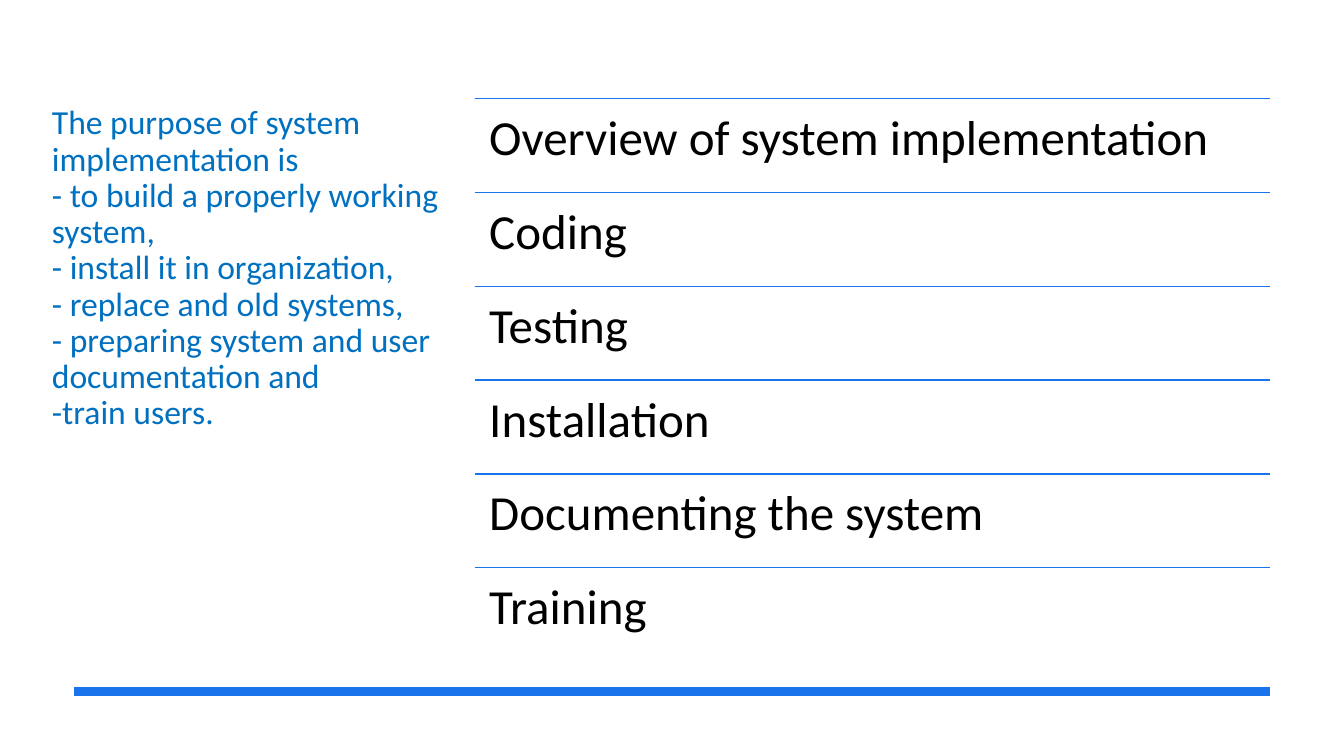
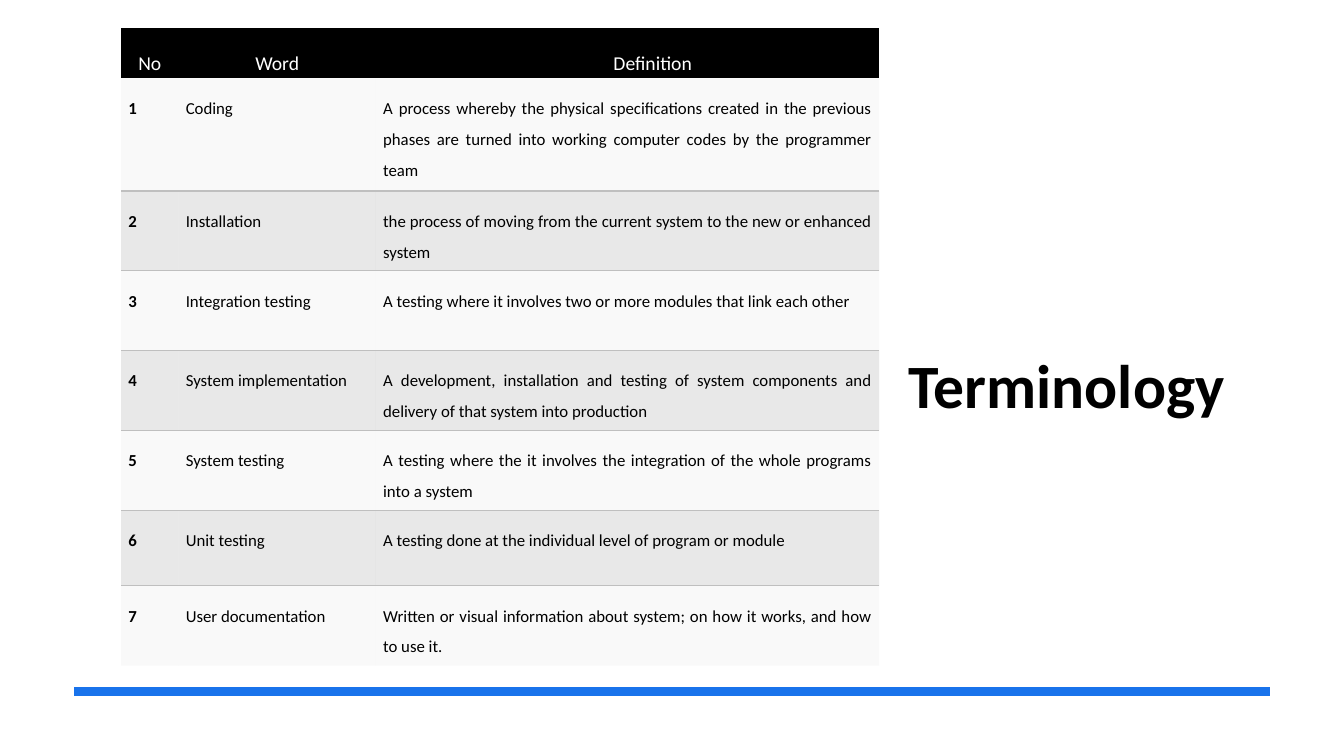
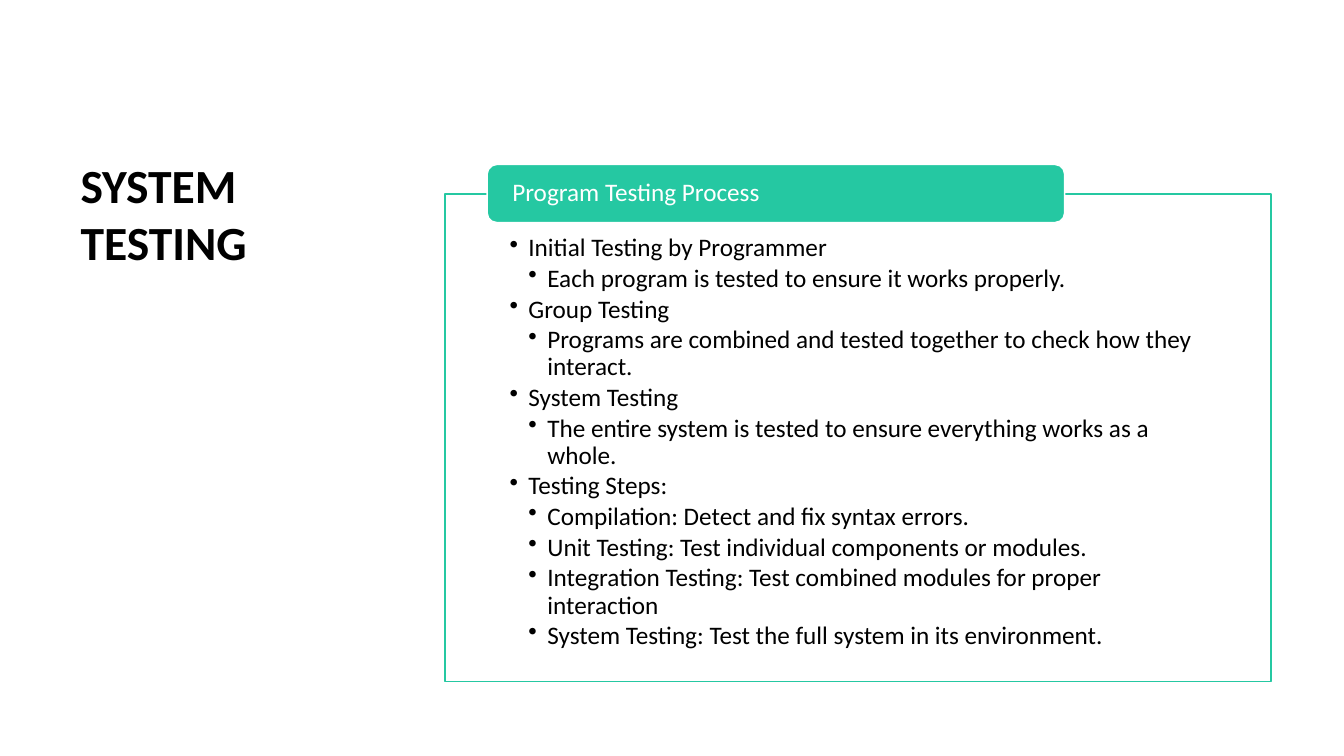
from dataclasses import dataclass, replace
from typing import NamedTuple

from lxml import etree
from pptx import Presentation
from pptx.dml.color import RGBColor
from pptx.enum import shapes, text
from pptx.oxml import ns
from pptx.util import Pt

FONT = "Calibri"
BLACK, WHITE = "000000", "FFFFFF"
BLUE, TITLE_BLUE, GREEN = "1973EB", "0070C0", "25C8A2"
GRAY, PALE = "BFBFBF", "F2F2F2"
NO_GRID_STYLE = "{2D5ABB26-0587-4C30-8999-92F81FD0307C}"
LEFT, CENTER, JUSTIFY = text.PP_ALIGN.LEFT, text.PP_ALIGN.CENTER, text.PP_ALIGN.JUSTIFY
TOP, MIDDLE, BOTTOM = text.MSO_ANCHOR.TOP, text.MSO_ANCHOR.MIDDLE, text.MSO_ANCHOR.BOTTOM


class Area(NamedTuple):
    left: float
    top: float
    width: float
    height: float


class Insets(NamedTuple):
    left: float = 7.2
    top: float = 3.6
    right: float = 7.2
    bottom: float = 3.6


@dataclass(frozen=True)
class Style:
    size: float
    color: str = BLACK
    bold: bool = False
    align: text.PP_ALIGN = LEFT
    line: float = 1.0
    after: float = 0


class Line(NamedTuple):
    words: str
    level: int = 0  # 0 means no bullet


class Term(NamedTuple):
    word: str
    definition: str
    height: float = 57


TITLE = Style(44, bold=True)
PURPOSE = Style(24, TITLE_BLUE, line=0.9)
TOPIC = Style(35, line=0.9)
STEP = Style(18, line=0.9, after=2.4)
TAB = Style(18, WHITE, line=0.9)
HEAD = Style(14, WHITE, align=CENTER, line=1.5, after=10)
BODY = Style(12, align=JUSTIFY, line=1.5, after=10)
CELL_INSETS = Insets(5.2, 7.2, 5.2, 0)

PURPOSES = [
    "The purpose of system implementation is",
    "- to build a properly working system,",
    "- install it in organization,",
    "- replace and old systems,",
    "- preparing system and user documentation and",
    "-train users.",
]
TOPICS = ["Overview of system implementation", "Coding", "Testing",
          "Installation", "Documenting the system", "Training"]
TERMS = [
    Term("Coding", "A process whereby the physical specifications created in the previous "
         "phases are turned into working computer codes by the programmer team", 80.5),
    Term("Installation",
         "the process of moving from the current system to the new or enhanced system"),
    Term("Integration testing",
         "A testing where it involves two or more modules that link each other"),
    Term("System implementation", "A development, installation and testing of system "
         "components and delivery of that system into production"),
    Term("System testing",
         "A testing where the it involves the integration of the whole programs into a system"),
    Term("Unit testing", "A testing done at the individual level of program or module", 54),
    Term("User documentation",
         "Written or visual information about system; on how it works, and how to use it."),
]
STEPS = [
    Line("Initial Testing by Programmer", 1),
    Line("Each program is tested to ensure it works properly.", 2),
    Line("Group Testing", 1),
    Line("Programs are combined and tested together to check how they interact.", 2),
    Line("System Testing", 1),
    Line("The entire system is tested to ensure everything works as a whole.", 2),
    Line("Testing Steps:", 1),
    Line("Compilation: Detect and fix syntax errors.", 2),
    Line("Unit Testing: Test individual components or modules.", 2),
    Line("Integration Testing: Test combined modules for proper interaction", 2),
    Line("System Testing: Test the full system in its environment.", 2),
]


def rgb(color: str) -> RGBColor:
    return RGBColor.from_string(color)


def points(values) -> list:
    return [Pt(value) for value in values]


def write(frame, lines: list[Line], style: Style) -> None:
    for index, line in enumerate(lines):
        para = frame.paragraphs[0] if index == 0 else frame.add_paragraph()
        para.alignment = style.align
        para.line_spacing = style.line
        para.space_after = Pt(style.after)
        if line.level:
            properties = para._p.get_or_add_pPr()
            properties.set("marL", str(Pt(13.5 * line.level)))
            properties.set("indent", str(-Pt(13.5)))
            etree.SubElement(properties, ns.qn("a:buChar")).set("char", "•")
        span = para.add_run()
        span.text = line.words
        span.font.name = FONT
        span.font.size = Pt(style.size)
        span.font.bold = style.bold
        span.font.color.rgb = rgb(style.color)


def set_insets(target, insets: Insets) -> None:
    (target.margin_left, target.margin_top,
     target.margin_right, target.margin_bottom) = points(insets)


def fill_frame(box, lines: list[Line], style: Style, insets: Insets, anchor) -> None:
    frame = box.text_frame
    frame.word_wrap = True
    frame.vertical_anchor = anchor
    set_insets(frame, insets)
    write(frame, lines, style)


def add_text(page, area: Area, lines: list[Line], style: Style,
             insets: Insets = Insets(), anchor=TOP) -> None:
    fill_frame(page.shapes.add_textbox(*points(area)), lines, style, insets, anchor)


def add_panel(page, kind, area: Area, fill: str, outline: str, lines: list[Line],
              style: Style, insets: Insets, anchor) -> None:
    panel = page.shapes.add_shape(kind, *points(area))
    panel.shadow.inherit = False
    panel.fill.solid()
    panel.fill.fore_color.rgb = rgb(fill)
    panel.line.color.rgb = rgb(outline)
    panel.line.width = Pt(1)
    fill_frame(panel, lines, style, insets, anchor)


def add_rule(page, left: float, right: float, top: float, width: float) -> None:
    rule = page.shapes.add_connector(shapes.MSO_CONNECTOR.STRAIGHT,
                                     *points((left, top, right, top)))
    rule.line.color.rgb = rgb(BLUE)
    rule.line.width = Pt(width)
    etree.SubElement(rule._element.spPr, ns.qn("a:effectLst"))


def add_footer_band(page) -> None:
    add_rule(page, 53, 907, 494, 6)


def fill_cell(cell, color: str, opacity: int = 100) -> None:
    cell.fill.solid()
    cell.fill.fore_color.rgb = rgb(color)
    if opacity < 100:
        tint = cell._tc.tcPr.find(".//" + ns.qn("a:srgbClr"))
        etree.SubElement(tint, ns.qn("a:alpha")).set("val", str(opacity * 1000))


def add_border(cell, side: str) -> None:
    """Draw a thin gray border; side is lnT or lnB."""
    border = etree.Element(ns.qn("a:" + side), w=str(Pt(1)))
    solid = etree.SubElement(border, ns.qn("a:solidFill"))
    etree.SubElement(solid, ns.qn("a:srgbClr")).set("val", GRAY)
    cell._tc.tcPr.insert(0, border)


def add_terms_table(page) -> None:
    widths = [41, 141, 359.5]
    heights = [36] + [term.height for term in TERMS]
    frame = page.shapes.add_table(len(heights), len(widths),
                                  *points((86.5, 20, sum(widths), sum(heights))))
    table = frame.table
    table.first_row = table.horz_banding = False
    table._tbl.tblPr.find(ns.qn("a:tableStyleId")).text = NO_GRID_STYLE
    for column, width in zip(table.columns, widths):
        column.width = Pt(width)
    for row, height in zip(table.rows, heights):
        row.height = Pt(height)

    rows = [("No", "Word", "Definition")]
    rows += [(str(number), term.word, term.definition)
             for number, term in enumerate(TERMS, 1)]
    for r, words in enumerate(rows):
        for c, word in enumerate(words):
            cell = table.cell(r, c)
            set_insets(cell, CELL_INSETS)
            if r == 0:
                cell.vertical_anchor = MIDDLE
                fill_cell(cell, BLACK)
                write(cell.text_frame, [Line(word)], HEAD)
                continue
            write(cell.text_frame, [Line(word)], replace(BODY, bold=c == 0))
            if r % 2:
                fill_cell(cell, PALE, 45)
                if r < len(TERMS):
                    add_border(cell, "lnB")
            else:
                fill_cell(cell, GRAY, 35)
                add_border(cell, "lnT")
    heading = table.cell(0, 2).text_frame.paragraphs[0]
    heading._p.get_or_add_pPr().set("indent", str(Pt(36)))


def build_purpose(page) -> None:
    add_text(page, Area(30, 72, 298, 327), [Line(words) for words in PURPOSES], PURPOSE)
    add_footer_band(page)
    left, width, pitch = 339, 568, 67
    for index, topic in enumerate(TOPICS):
        top = 70.5 + index * pitch
        add_rule(page, left, left + width, top, 1)
        add_text(page, Area(left, top, width, pitch), [Line(topic)], TOPIC,
                 Insets(10.5, 10.5, 10.5, 10.5))


def build_terminology(page) -> None:
    add_text(page, Area(642, 93.5, 262, 211), [Line("Terminology")], TITLE, anchor=BOTTOM)
    add_footer_band(page)
    add_terms_table(page)


def build_testing(page) -> None:
    add_text(page, Area(50.5, 108, 209, 327), [Line("SYSTEM TESTING")],
             replace(TITLE, size=34))
    add_panel(page, shapes.MSO_SHAPE.RECTANGLE, Area(318, 138.5, 590, 348.5), WHITE, GREEN,
              STEPS, STEP, Insets(46, 29.5, 46, 10), TOP)
    add_panel(page, shapes.MSO_SHAPE.ROUNDED_RECTANGLE, Area(348, 117.5, 412.5, 41.5),
              GREEN, WHITE, [Line("Program Testing Process")], TAB,
              Insets(16, 0, 16, 0), MIDDLE)


def main() -> None:
    deck = Presentation()
    deck.slide_width, deck.slide_height = Pt(960), Pt(540)
    for build in (build_purpose, build_terminology, build_testing):
        build(deck.slides.add_slide(deck.slide_layouts[6]))
    deck.save("out.pptx")


if __name__ == "__main__":
    main()
